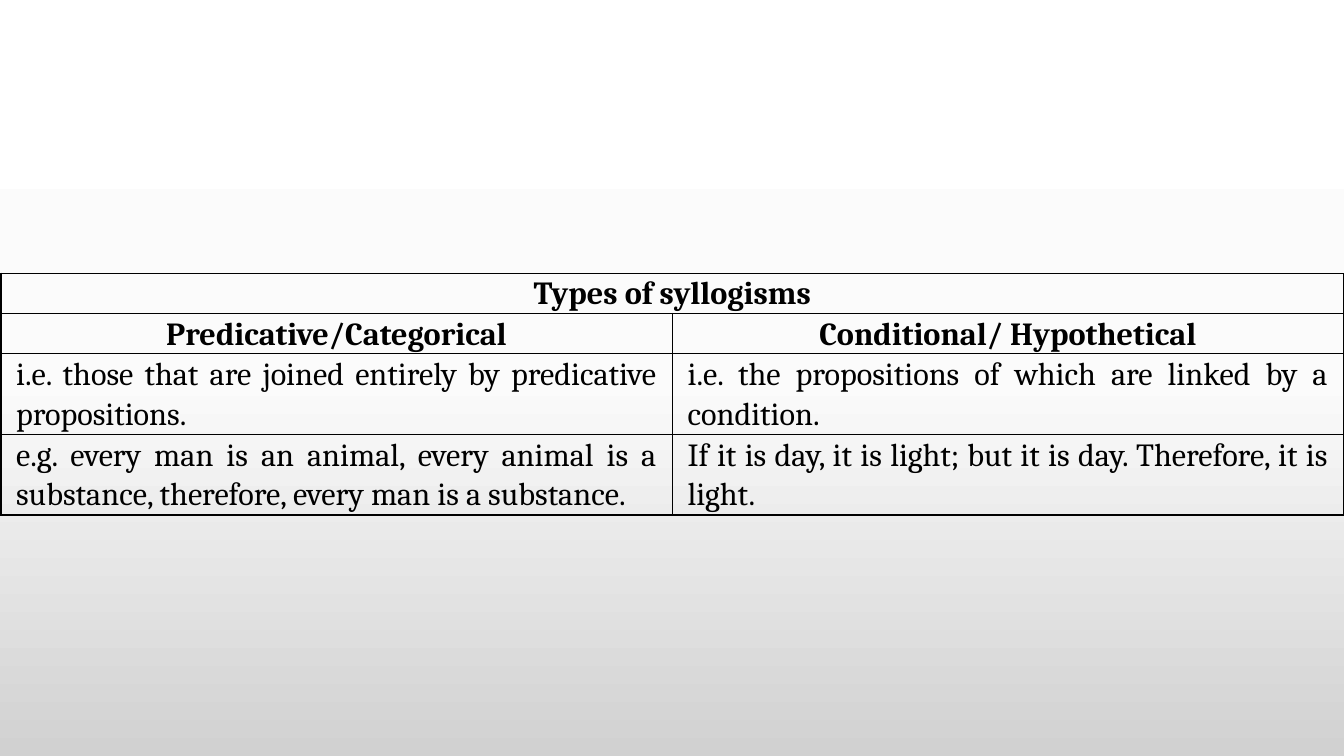
"""Build a slide with a table that contrasts the two types of syllogisms."""
from dataclasses import dataclass

from lxml.etree import SubElement
from pptx import Presentation
from pptx.dml.color import RGBColor
from pptx.enum.text import PP_ALIGN
from pptx.oxml.ns import qn
from pptx.util import Inches, Pt


@dataclass(frozen=True)
class Theme:
    font: str = "Cambria"
    size: int = 23
    ink: str = "000000"
    border: int = 1
    line_spacing: float = 1.07
    backdrop: tuple = ((0, "FFFFFF"), (50, "FBFBFB"), (100, "D1D1D1"))


def add_color(parent, color):
    SubElement(parent, qn("a:srgbClr"), val=color)


def add_borders(cell):
    properties = cell._tc.get_or_add_tcPr()
    for position, side in enumerate(("lnL", "lnR", "lnT", "lnB")):
        line = properties.makeelement(qn(f"a:{side}"), {"w": str(Pt(theme.border))})
        add_color(SubElement(line, qn("a:solidFill")), theme.ink)
        properties.insert(position, line)


theme = Theme()
presentation = Presentation()
presentation.slide_width = Inches(13.33)
presentation.slide_height = Inches(7.5)
slide = presentation.slides.add_slide(presentation.slide_layouts[6])

background = slide.background.fill
background.gradient()
background.gradient_angle = 270
stops = slide.background._cSld.find(".//" + qn("a:gsLst"))
for stop in list(stops):
    stops.remove(stop)
for share, color in theme.backdrop:
    add_color(SubElement(stops, qn("a:gs"), pos=str(share * 1000)), color)

row_lines = (1, 1, 2, 2)
line_height = Inches(0.4)
column_width = Inches(6.66)
rows = (
    ("Types of syllogisms",),
    ("Predicative/Categorical", "Conditional/ Hypothetical"),
    (
        "i.e. those that are joined entirely by predicative propositions.",
        "i.e. the propositions of which are linked by a condition.",
    ),
    (
        "e.g. every man is an animal, every animal is a substance, "
        "therefore, every man is a substance. ",
        "If it is day, it is light; but it is day. Therefore, it is light. ",
    ),
)

table = slide.shapes.add_table(
    len(rows), 2, Inches(0.01), Inches(2.71),
    2 * column_width, sum(row_lines) * line_height,
).table
table.horz_banding = False
table.first_row = False
for column in table.columns:
    column.width = column_width
for row, lines in zip(table.rows, row_lines):
    row.height = lines * line_height
table.cell(0, 0).merge(table.cell(0, 1))

for cell in table.iter_cells():
    cell.fill.background()
    cell.margin_left = cell.margin_right = Inches(0.15)
    cell.margin_top = cell.margin_bottom = 0
    add_borders(cell)

for row_index, texts in enumerate(rows):
    heading = row_lines[row_index] == 1
    for column_index, text in enumerate(texts):
        paragraph = table.cell(row_index, column_index).text_frame.paragraphs[0]
        paragraph.alignment = PP_ALIGN.CENTER if heading else PP_ALIGN.JUSTIFY
        paragraph.line_spacing = theme.line_spacing
        run = paragraph.add_run()
        run.text = text
        run.font.name = theme.font
        run.font.size = Pt(theme.size)
        run.font.bold = heading
        run.font.color.rgb = RGBColor.from_string(theme.ink)

presentation.save("out.pptx")
